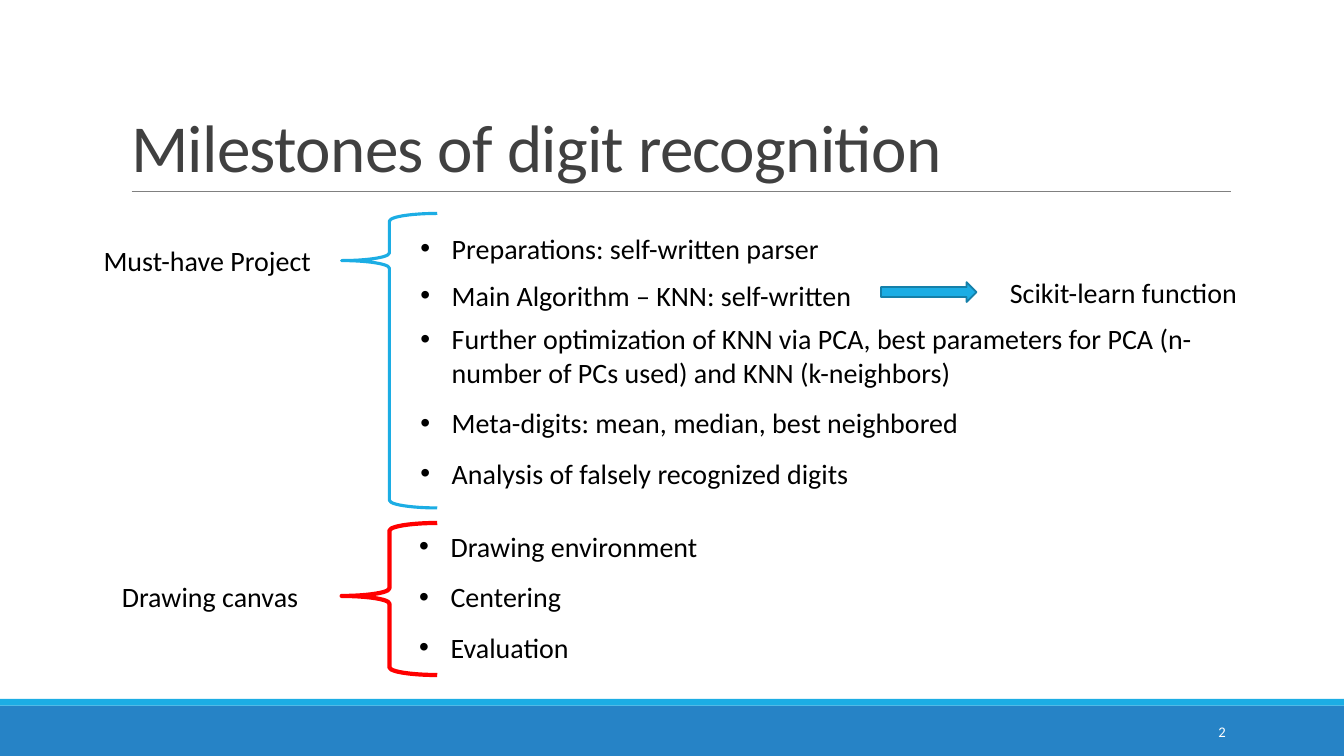
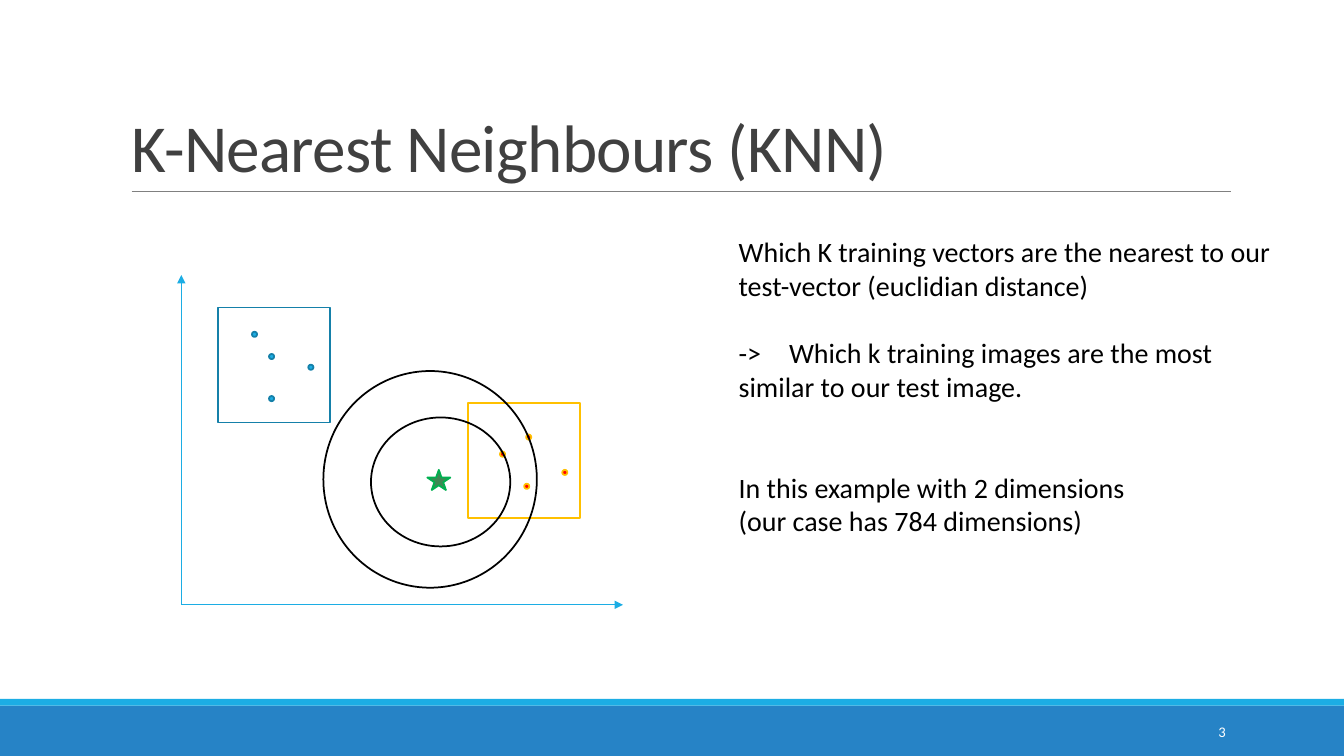
import dataclasses

import lxml.etree
import pptx
import pptx.dml.color
import pptx.enum.shapes
import pptx.enum.text
import pptx.oxml.ns
import pptx.util

Cm = pptx.util.Cm
Pt = pptx.util.Pt
Shape = pptx.enum.shapes.MSO_SHAPE
Align = pptx.enum.text.PP_ALIGN
Anchor = pptx.enum.text.MSO_ANCHOR


@dataclasses.dataclass(frozen=True)
class Theme:
    font: str = "Calibri"
    title_size: float = 48
    text_size: float = 20
    number_size: float = 10.5
    title: str = "404040"
    text: str = "000000"
    white: str = "FFFFFF"
    rule: str = "808080"
    band: str = "2683C6"
    accent: str = "1CADE4"
    outline: str = "1580A9"
    red: str = "FF0000"
    amber: str = "FFC000"
    star: str = "3E8853"
    star_line: str = "00B050"
    line_width: float = 1.25


def color(value):
    return pptx.dml.color.RGBColor.from_string(value)


def append_element(parent, tag, **attributes):
    element = lxml.etree.SubElement(parent, pptx.oxml.ns.qn(tag))
    for name, value in attributes.items():
        element.set(name, value)


def place(item, left, top, width, height):
    item.left, item.top = Cm(left), Cm(top)
    item.width, item.height = Cm(width), Cm(height)


class Painter:
    def __init__(self, deck, theme):
        self.deck = deck
        self.theme = theme
        self.page = None

    def new_page(self, layout, title, number):
        theme = self.theme
        self.page = self.deck.slides.add_slide(self.deck.slide_layouts.get_by_name(layout))
        self.shape(Shape.RECTANGLE, (0, 17.78, 33.87, 1.27), fill=theme.band)
        self.shape(Shape.RECTANGLE, (0, 17.61, 33.87, 0.17), fill=theme.accent)
        self.line((3.32, 4.82), (31.02, 4.82), theme.rule, 0.5)
        heading = self.page.shapes.title
        place(heading, 3.05, 0.79, 27.94, 4.04)
        para = self.fill_text(heading, [title], theme.title_size, theme.title, Anchor.BOTTOM)[0]
        para.line_spacing = 0.85
        para.runs[0]._r.get_or_add_rPr().set("spc", "-50")
        self.text_box((27.52, 17.94, 3.62, 1), number, theme.number_size, theme.white,
                      Anchor.MIDDLE, Align.RIGHT)

    def fill_text(self, box, lines, size, ink, anchor=Anchor.TOP, align=Align.LEFT):
        frame = box.text_frame
        frame.word_wrap = True
        frame.auto_size = pptx.enum.text.MSO_AUTO_SIZE.NONE
        frame.vertical_anchor = anchor
        frame.text = "\n".join(lines)
        for para in frame.paragraphs:
            para.alignment = align
            para.space_before = Pt(0)
            para.font.name = self.theme.font
            para.font.size = Pt(size)
            para.font.bold = False
            para.font.color.rgb = color(ink)
        return frame.paragraphs

    def text_box(self, area, text, size=None, ink=None, anchor=Anchor.TOP, align=Align.LEFT):
        box = self.page.shapes.add_textbox(*map(Cm, area))
        self.fill_text(box, [text], size or self.theme.text_size, ink or self.theme.text,
                       anchor, align)

    def body(self, index, area, lines, bullet=None, hanging=0, gap=0):
        box = self.page.placeholders[index]
        place(box, *area)
        paras = self.fill_text(box, lines, self.theme.text_size, self.theme.text)
        for para in paras:
            para.space_after = Pt(gap)
            properties = para._p.get_or_add_pPr()
            properties.set("marL", str(Cm(hanging)))
            properties.set("indent", str(-Cm(hanging)))
            default_font = properties.find(pptx.oxml.ns.qn("a:defRPr"))
            properties.remove(default_font)
            if bullet:
                append_element(properties, "a:buFont", typeface="Arial")
                append_element(properties, "a:buChar", char=bullet)
            else:
                append_element(properties, "a:buNone")
            properties.append(default_font)
        return paras

    def bullets(self, index, area, lines, gap=0):
        self.body(index, area, lines, "•", 0.79, gap)

    def shape(self, kind, area, fill=None, line=None, width=None, adjustments=()):
        shape = self.page.shapes.add_shape(kind, *map(Cm, area))
        shape.shadow.inherit = False
        if fill:
            shape.fill.solid()
            shape.fill.fore_color.rgb = color(fill)
        else:
            shape.fill.background()
        if line:
            shape.line.color.rgb = color(line)
            shape.line.width = Pt(width or self.theme.line_width)
        else:
            shape.line.fill.background()
        for index, value in enumerate(adjustments):
            shape.adjustments[index] = value

    def line(self, start, end, ink, width, arrow=False):
        connector = self.page.shapes.add_connector(
            pptx.enum.shapes.MSO_CONNECTOR.STRAIGHT, *map(Cm, start + end))
        connector.line.color.rgb = color(ink)
        connector.line.width = Pt(width)
        if arrow:
            append_element(connector.line._get_or_add_ln(), "a:tailEnd", type="triangle")
        append_element(connector._element.spPr, "a:effectLst")

    def cluster(self, corner, dots, fill, line):
        for dot in dots:
            self.shape(Shape.OVAL, (*dot, 0.13, 0.13), fill, line)
        self.shape(Shape.RECTANGLE, (*corner, 2.82, 2.9), line=line)


def milestones(painter):
    theme = painter.theme
    painter.new_page("Comparison", "Milestones of digit recognition", "2")
    painter.text_box((2.36, 6, 6.25, 1.12), "Must-have Project")
    painter.text_box((2.82, 14.47, 5.33, 1.12), "Drawing canvas")
    painter.shape(Shape.LEFT_BRACE, (8.61, 5.38, 2.41, 7.42), line=theme.accent,
                  width=2.25, adjustments=(0.08, 0.16))
    painter.shape(Shape.LEFT_BRACE, (8.61, 13.18, 2.41, 3.83), line=theme.red,
                  width=3, adjustments=(0.08, 0.48))
    painter.bullets(1, (10.34, 5.7, 14.68, 1.12), ["Preparations: self-written parser"])
    painter.bullets(3, (10.34, 6.88, 22.48, 1.12), ["Main Algorithm – KNN: self-written"])
    painter.bullets(2, (10.34, 7.98, 20.45, 5.74), [
        "Further optimization of KNN via PCA, best parameters for PCA "
        "(n-number of PCs used) and KNN (k-neighbors)",
        "Meta-digits: mean, median, best neighbored",
        "Analysis of falsely recognized digits",
    ], gap=12)
    painter.bullets(4, (10.31, 13.21, 8.36, 3.68),
                    ["Drawing environment", "Centering", "Evaluation"], gap=12)
    painter.shape(Shape.RIGHT_ARROW, (22.2, 7.11, 2.41, 0.5), theme.accent, theme.outline)
    painter.text_box((25.2, 6.82, 7.01, 1.12), "Scikit-learn function")


def nearest_neighbours(painter):
    theme = painter.theme
    painter.new_page("Title and Content", "K-Nearest Neighbours (KNN)", "3")
    origin = (4.57, 15.24)
    for axis_end in ((4.57, 6.93), (15.7, 15.24)):
        painter.line(origin, axis_end, theme.accent, 1, arrow=True)
    painter.cluster((5.49, 7.75), [(6.35, 8.36), (6.78, 9.98), (7.77, 9.19), (6.78, 8.92)],
                    theme.accent, theme.outline)
    painter.cluster((11.79, 10.16), [(13.26, 10.95), (14.17, 11.84), (12.6, 11.38), (13.21, 12.19)],
                    theme.red, theme.amber)
    painter.shape(Shape.STAR_5_POINT, (10.77, 11.84, 0.58, 0.51), theme.star, theme.star_line)
    for circle in ((9.35, 10.52, 3.51, 3.25), (8.15, 9.35, 5.38, 5.46)):
        painter.shape(Shape.OVAL, circle, line=theme.text)
    paras = painter.body(1, (18.36, 5.79, 14.38, 7.95), [
        "Which K training vectors are the nearest to our test-vector (euclidian distance)",
        "->\tWhich k training images are the most similar to our test image.",
        "In this example with 2 dimensions",
        "(our case has 784 dimensions)",
    ])
    paras[1].space_before = Pt(24)
    paras[2].space_before = Pt(48)


deck = pptx.Presentation()
deck.slide_width, deck.slide_height = Cm(33.87), Cm(19.05)
painter = Painter(deck, Theme())
milestones(painter)
nearest_neighbours(painter)
deck.save("out.pptx")
